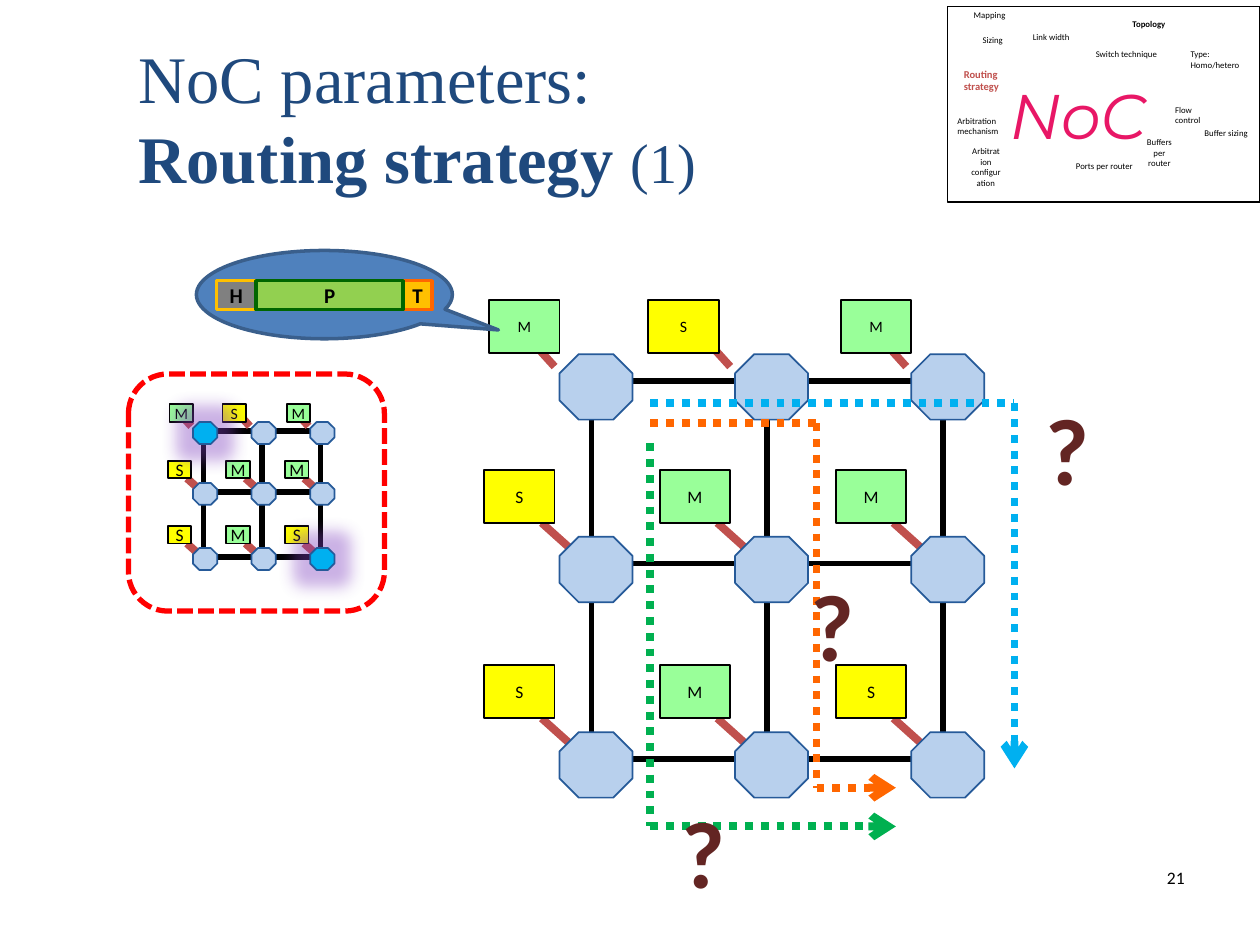
from itertools import pairwise, product

from lxml.etree import SubElement
from pptx import Presentation
from pptx.dml.color import RGBColor
from pptx.enum.dml import MSO_LINE_DASH_STYLE as DASH
from pptx.enum.shapes import MSO_CONNECTOR, MSO_SHAPE as SHAPE
from pptx.enum.text import MSO_ANCHOR, PP_ALIGN as ALIGN
from pptx.oxml import parse_xml
from pptx.oxml.ns import qn
from pptx.util import Cm, Pt

color = RGBColor.from_string
LEFT, CENTER, RIGHT = ALIGN.LEFT, ALIGN.CENTER, ALIGN.RIGHT
GLOW = (
    '<a:effectLst xmlns:a="http://schemas.openxmlformats.org/drawingml/2006/main">'
    '<a:glow rad="228600"><a:srgbClr val="7F3FBF"><a:alpha val="40000"/>'
    '</a:srgbClr></a:glow></a:effectLst>'
)

presentation = Presentation()
presentation.slide_width, presentation.slide_height = Cm(25.4), Cm(19.05)
slide = presentation.slides.add_slide(presentation.slide_layouts[5])
shapes = slide.shapes


def add_box(preset, x, y, w, h, fill, line, width, text="", size=10, bold=False):
    shape = shapes.add_shape(preset, Cm(x), Cm(y), Cm(w), Cm(h))
    shape.shadow.inherit = False
    if fill:
        shape.fill.solid()
        shape.fill.fore_color.rgb = color(fill)
    else:
        shape.fill.background()
    shape.line.color.rgb = color(line)
    shape.line.width = Pt(width)
    if text:
        frame = shape.text_frame
        frame.margin_left = frame.margin_right = 0
        frame.margin_top = frame.margin_bottom = 0
        frame.word_wrap = False
        frame.vertical_anchor = MSO_ANCHOR.MIDDLE
        frame.text = text
        paragraph = frame.paragraphs[0]
        paragraph.alignment = CENTER
        font = paragraph.runs[0].font
        font.name, font.size, font.bold = "Calibri", Pt(size), bold
        font.color.rgb = color("000000")
    return shape


def add_line(x1, y1, x2, y2, line="000000", width=3, dash=None, arrow=False):
    connector = shapes.add_connector(
        MSO_CONNECTOR.STRAIGHT, Cm(x1), Cm(y1), Cm(x2), Cm(y2))
    connector.line.color.rgb = color(line)
    connector.line.width = Pt(width)
    if dash:
        connector.line.dash_style = dash
    if arrow:
        SubElement(connector.line._get_or_add_ln(), qn("a:tailEnd"), type="arrow")
    SubElement(connector._element.spPr, qn("a:effectLst"))


# Title
title = shapes.title
title.left, title.top, title.width, title.height = Cm(2.54), Cm(0.76), Cm(21.59), Cm(3.18)
frame = title.text_frame
frame.vertical_anchor = MSO_ANCHOR.MIDDLE
frame.text = "NoC parameters:"
paragraph = frame.add_paragraph()
paragraph.add_run().text = "Routing strategy "
paragraph.add_run().text = "(1)"
for paragraph in frame.paragraphs:
    paragraph.alignment = LEFT
    for run in paragraph.runs:
        run.font.name = "Times New Roman"
        run.font.size = Pt(32 if run.text == "(1)" else 38)
        run.font.bold = run.text.startswith("Routing")
        run.font.color.rgb = color("1F497D")

# Mesh networks: the small one is the large one at a third of its size
COLUMNS = [0, 3.54, 7.09]
ROWS = [0, 3.68, 7.62]
CORES = ["MSM", "SMM", "SMS"]
CORE_FILLS = {"M": "99FF99", "S": "FFFF00"}
FIRST_ROW_CORES = [-1.42, -1.75, -1.42]
cells = list(product(range(3), range(3)))

for left, top, scale, endpoints in (
        (11.28, 7.14, 1, []), (3.89, 8.51, 1 / 3, [(0, 0), (2, 2)])):
    xs = [left + scale * column for column in COLUMNS]
    ys = [top + scale * row for row in ROWS]
    router_w, router_h = 1.47 * scale, 1.32 * scale

    # Wires between the routers
    for x, (y, next_y) in product(xs, pairwise(ys)):
        wire_x = x + 0.64 * scale
        add_line(wire_x, y + router_h, wire_x, next_y)
    for y, (x, next_x) in product(ys, pairwise(xs)):
        wire_y = y + 0.54 * scale
        add_line(x + router_w, wire_y, next_x, wire_y)

    # Cores with their links
    for row, column in cells:
        x, y, core = xs[column], ys[row], CORES[row][column]
        link_start, link_end = (-0.36, 0.23) if row else (-0.58, -0.1)
        core_x, core_y = (-1.52, -1.35) if row else (FIRST_ROW_CORES[column], -1.09)
        add_line(x + link_start * scale, y - 0.28 * scale,
                 x + link_end * scale, y + 0.25 * scale, "C0504D", 4.5)
        add_box(SHAPE.RECTANGLE, x + core_x * scale, y + core_y * scale,
                1.42 * scale, 1.07 * scale, CORE_FILLS[core], "000000", 1,
                core, 10 if row else 9)

    # Routers
    for row, column in cells:
        is_endpoint = (row, column) in endpoints
        router = add_box(SHAPE.OCTAGON, xs[column], ys[row], router_w, router_h,
                         "00B0F0" if is_endpoint else "B8D0ED", "265A99", 1)
        if is_endpoint:
            properties = router._element.spPr
            properties.remove(properties.find(qn("a:effectLst")))
            properties.append(parse_xml(GLOW))

# Packet in its callout
callout = add_box(SHAPE.OVAL_CALLOUT, 3.96, 5.05, 5.16, 1.78, "4F81BD", "3A5F8C", 2)
callout.adjustments[0], callout.adjustments[1] = 0.68, 0.4
for text, x, w, fill, line in (
        ("H", 4.37, 0.79, "808080", "FFC000"),
        ("T", 8.13, 0.58, "FFC000", "FF6600"),
        ("P", 5.16, 2.97, "92D050", "006600")):
    add_box(SHAPE.RECTANGLE, x, 5.66, w, 0.58, fill, line, 2, text, 12, True)

# Frame around the small mesh
mesh_frame = add_box(SHAPE.ROUNDED_RECTANGLE, 2.59, 7.54, 5.16, 4.78, None, "FF0000", 3)
mesh_frame.line.dash_style = DASH.SQUARE_DOT

# Candidate routes
for line, points in (
        ("00B0F0", [(13.11, 8.13), (20.45, 8.13), (20.45, 15.49)]),
        ("FF6600", [(13.11, 8.53), (16.46, 8.53), (16.46, 15.88), (18.06, 15.88)]),
        ("00B050", [(13.11, 8.94), (13.11, 16.66), (18.06, 16.66)])):
    for start, end in pairwise(points):
        add_line(*start, *end, line, 4.5, DASH.ROUND_DOT, end == points[-1])

# Texts: question marks, slide number and the parameter overview
add_box(SHAPE.RECTANGLE, 19.1, 0.13, 6.3, 3.94, "FFFFFF", "000000", 1)
BLACK, RED, BROWN = "000000", "C0504D", "632523"
for text, x, y, w, h, size, text_color, bold, alignment, wrap in (
        ("?", 20.83, 7.75, 1.19, 2.57, 54, BROWN, True, LEFT, True),
        ("?", 16.08, 11.3, 1.19, 2.57, 54, BROWN, True, LEFT, True),
        ("?", 13.49, 15.88, 1.19, 2.57, 54, BROWN, True, LEFT, True),
        ("21", 18.85, 17.35, 5.28, 1.27, 10, BLACK, False, RIGHT, True),
        ("NoC", 19.93, 1.42, 3.6, 1.19, 36, "E81766", False, CENTER, False),
        ("Topology", 22.58, 0.25, 1.3, 0.46, 5, BLACK, True, LEFT, False),
        ("Routing strategy", 19.18, 1.24, 1.35, 0.76, 6, RED, True, LEFT, True),
        ("Arbitration mechanism", 19.05, 2.21, 1.75, 0.69, 5, BLACK, False, LEFT, True),
        ("Buffer sizing", 24.03, 2.46, 1.47, 0.46, 5, BLACK, False, LEFT, False),
        ("Ports per router", 21.44, 3.12, 1.73, 0.46, 5, BLACK, False, LEFT, False),
        ("Link width", 20.57, 0.51, 1.63, 0.46, 5, BLACK, False, LEFT, True),
        ("Flow control", 23.44, 1.98, 1.14, 0.69, 5, BLACK, False, LEFT, True),
        ("Type:\nHomo/hetero", 23.75, 0.86, 1.52, 0.69, 5, BLACK, False, LEFT, False),
        ("Arbitration configuration", 19.33, 2.82, 1.09, 1.09, 5, BLACK, False, CENTER, True),
        ("Buffers per router", 22.83, 2.64, 1.09, 0.89, 5, BLACK, False, CENTER, True),
        ("Switch technique", 21.84, 0.86, 1.83, 0.46, 5, BLACK, False, LEFT, False),
        ("Mapping", 19.38, 0.08, 1.19, 0.46, 5, BLACK, False, LEFT, False),
        ("Sizing", 19.56, 0.58, 0.99, 0.46, 5, BLACK, False, LEFT, False)):
    frame = shapes.add_textbox(Cm(x), Cm(y), Cm(w), Cm(h)).text_frame
    frame.word_wrap = wrap
    frame.text = text
    for paragraph in frame.paragraphs:
        paragraph.alignment = alignment
        font = paragraph.runs[0].font
        font.name = "Montserrat" if text == "NoC" else "Calibri"
        font.size, font.bold, font.italic = Pt(size), bold, text == "NoC"
        font.color.rgb = color(text_color)

presentation.save("out.pptx")
